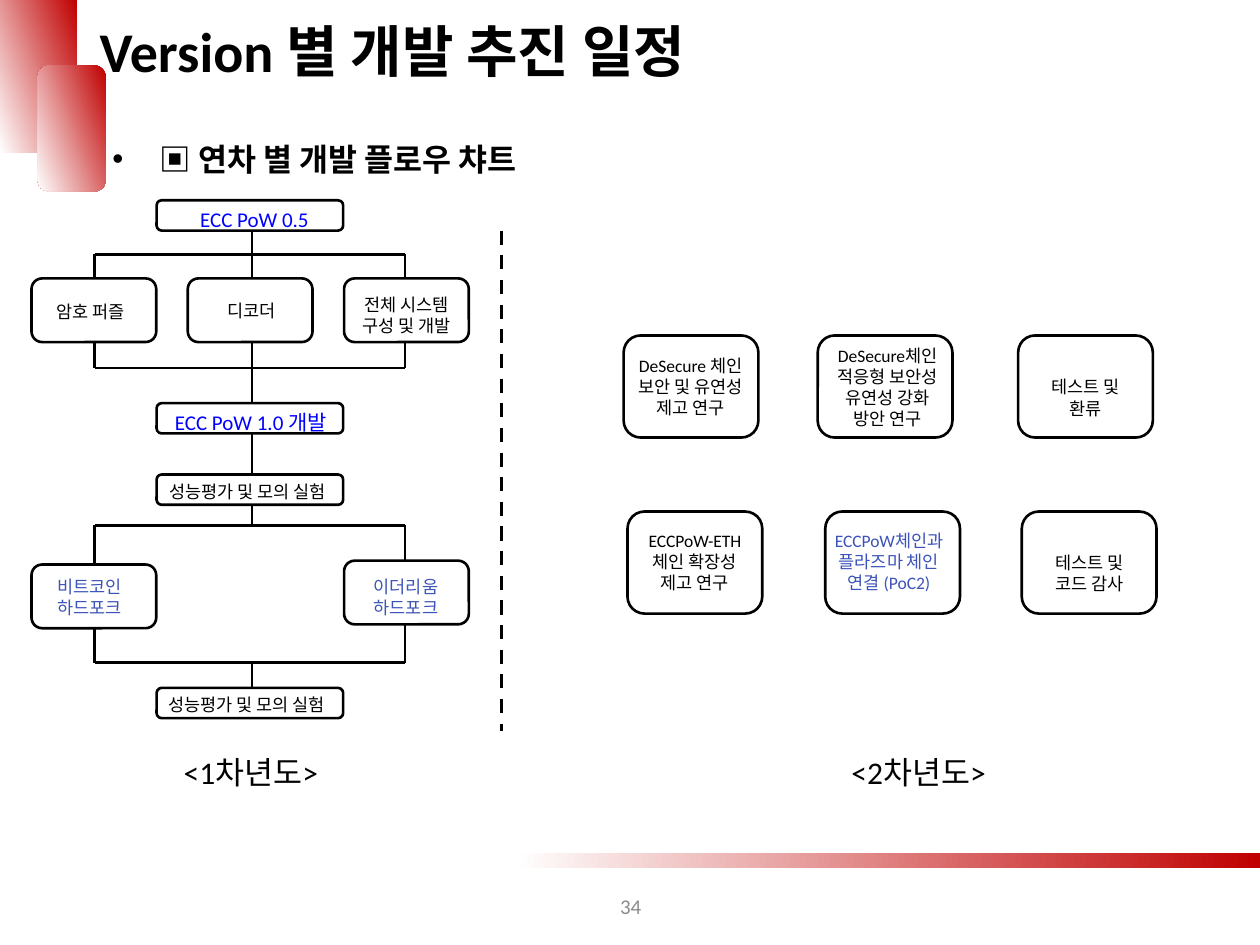
from lxml import etree
from pptx import Presentation
from pptx.dml.color import RGBColor
from pptx.enum.dml import MSO_LINE
from pptx.enum.shapes import MSO_CONNECTOR, MSO_SHAPE
from pptx.enum.text import MSO_ANCHOR, MSO_AUTO_SIZE, PP_ALIGN
from pptx.oxml.ns import qn
from pptx.util import Pt

RECT = MSO_SHAPE.RECTANGLE
ROUND = MSO_SHAPE.ROUNDED_RECTANGLE
ALT = MSO_SHAPE.FLOWCHART_ALTERNATE_PROCESS
LINE = MSO_CONNECTOR.STRAIGHT
DASH = MSO_LINE.DASH
LEFT, MID = PP_ALIGN.LEFT, PP_ALIGN.CENTER
TOP, CENTER = MSO_ANCHOR.TOP, MSO_ANCHOR.MIDDLE
FIXED = MSO_AUTO_SIZE.NONE
LATIN, HANGUL = "Calibri", "Noto Sans CJK KR"
HEX = {"black": "000000", "white": "FFFFFF", "red": "C00000",
       "gray": "8C8C8C", "blue": "0000FF", "navy": "3C53B9"}


def tint(name):
    return RGBColor.from_string(HEX[name])


def place(shape, x, y, w, h):
    shape.left, shape.top, shape.width, shape.height = map(Pt, (x, y, w, h))


def write(shape, text, size, color="black", align=LEFT, bold=False,
          font=LATIN, anchor=TOP):
    frame = shape.text_frame
    frame.text = text
    frame.word_wrap = True
    frame.auto_size = FIXED
    frame.vertical_anchor = anchor
    for para in frame.paragraphs:
        para.alignment = align
        for run in para.runs:
            run.font.size, run.font.bold = Pt(size), bold
            run.font.color.rgb = tint(color)
            run.font.name = font
            east = etree.SubElement(run.font._element, qn("a:ea"))
            east.set("typeface", HANGUL)


def label(slide, x, y, w, h, text, size=10, **style):
    box = slide.shapes.add_textbox(Pt(x), Pt(y), Pt(w), Pt(h))
    write(box, text, size, **style)


def fade(slide, kind, x, y, w, h, first, last, angle):
    shape = slide.shapes.add_shape(kind, Pt(x), Pt(y), Pt(w), Pt(h))
    shape.shadow.inherit = False
    shape.line.fill.background()
    shape.fill.gradient()
    shape.fill.gradient_angle = angle
    for stop, name in zip(shape.fill.gradient_stops, (first, last)):
        stop.color.rgb = tint(name)


def box(slide, x, y, w, h):
    shape = slide.shapes.add_shape(ROUND, Pt(x), Pt(y), Pt(w), Pt(h))
    shape.shadow.inherit = False
    shape.fill.solid()
    shape.fill.fore_color.rgb = tint("white")
    shape.line.color.rgb = tint("black")
    shape.line.width = Pt(1.5)


def link(slide, x1, y1, x2, y2, width=1.5, dash=None):
    line = slide.shapes.add_connector(LINE, Pt(x1), Pt(y1), Pt(x2), Pt(y2))
    line.line.color.rgb = tint("black")
    line.line.width = Pt(width)
    if dash:
        line.line.dash_style = dash
    etree.SubElement(line._element.spPr, qn("a:effectLst"))


def head(slide):
    title, body = slide.shapes.title, slide.placeholders[1]
    place(title, 49.7, 5.8, 651, 46)
    write(title, "Version 별 개발 추진 일정", 32, bold=True)
    place(body, 57, 76.3, 651.6, 28.8)
    body.text_frame.text = ""
    props = body.text_frame.paragraphs[0]._p.get_or_add_pPr()
    props.set("marL", "0")
    props.set("indent", "0")
    etree.SubElement(props, qn("a:buNone"))
    write(body, "▣ 연차 별 개발 플로우 챠트", 18, bold=True, font=HANGUL)
    body.text_frame.paragraphs[0].space_before = Pt(0)


def first_year(slide):
    # Branch lines: two forks, each closed by a rail above and below
    left, trunk, right = 54, 144, 231.5
    for top, low in ((145.3, 210.2), (300.2, 378.7)):
        for x in (left, right):
            link(slide, x, top, x, low)
        for y in (top, low):
            link(slide, left, y, right, y)
    link(slide, trunk, 131.8, trunk, 300.2)
    link(slide, trunk, 378.7, trunk, 408.2)

    # Milestones on the trunk
    test = "성능평가 및 모의 실험"
    for y, x, w, text, size, color in (
            (114.5, 107.3, 77, "ECC PoW 0.5", 12, "blue"),
            (230.4, 92.9, 110.9, "ECC PoW 1.0 개발", 12, "blue"),
            (271.2, 90, 110.9, test, 10, "black"),
            (393.1, 89.3, 110.9, test, 10, "black")):
        box(slide, 89.5, y, 106.6, 17.3)
        label(slide, x, y, w, 21, text, size, color=color)

    # Work items on the branches
    for col, y, x, top, w, text, color, align in (
            (0, 159.1, 25.2, 168.5, 64, "암호 퍼즐", "black", LEFT),
            (1, 159.1, 123.1, 167.8, 44.6, "디코더", "black", LEFT),
            (2, 159.1, 196.6, 164.2, 71.3, "전체 시스템\n구성 및 개발",
             "black", MID),
            (0, 322.6, 25.9, 325.4, 64, "비트코인 하드포크", "navy", LEFT),
            (2, 320.4, 206.6, 325.4, 64, "이더리움 하드포크", "navy", LEFT)):
        box(slide, 18 + 89.3 * col, y, 71.3, 36.4)
        label(slide, x, top, w, 32, text, color=color, align=align)


def second_year(slide):
    for x, y, left, top, w, text, color in (
            (356.4, 191.7, 355, 199.4, 79.2,
             "DeSecure 체인 보안 및 유연성\n제고 연구", "black"),
            (467.3, 191.7, 468.7, 193.7, 77,
             "DeSecure체인\n적응형 보안성 유연성 강화\n방안 연구", "black"),
            (581.8, 191.7, 581.8, 211.6, 77, "테스트 및\n환류", "black"),
            (358.6, 292.3, 358.6, 299.5, 77,
             "ECCPoW-ETH체인 확장성 제고 연구", "black"),
            (471.6, 292.3, 468, 299.5, 79.9,
             "ECCPoW체인과 플라즈마 체인 연결 (PoC2)", "navy"),
            (583.9, 292.3, 583.9, 311.7, 77, "테스트 및\n코드 감사", "black")):
        box(slide, x, y, 77, 58.3)
        label(slide, left, top, w, 44, text, color=color, align=MID)


def main():
    deck = Presentation()
    deck.slide_width, deck.slide_height = Pt(720), Pt(540)
    slide = deck.slides.add_slide(deck.slide_layouts[1])

    # Corner blocks and footer band, kept behind the text
    fade(slide, RECT, 0, 0, 43.9, 87.1, "red", "white", 200)
    fade(slide, ALT, 21.6, 37.4, 38.9, 72, "red", "white", 200)
    fade(slide, RECT, 294.5, 487.4, 425.5, 8.6, "white", "red", 0)
    tree = slide.shapes._spTree
    for holder in list(slide.placeholders):
        tree.append(holder._element)
    head(slide)
    label(slide, 279.4, 503.3, 162, 28.8, "34", 12, color="gray",
          align=MID, anchor=CENTER)

    # Both years, the divider and the captions
    first_year(slide)
    second_year(slide)
    link(slide, 286.6, 131.8, 286.6, 417.6, 2, DASH)
    for x, text in ((97.9, "<1차년도>"), (479.5, "<2차년도>")):
        label(slide, x, 427, 100.8, 28.8, text, 18)

    deck.save("out.pptx")


if __name__ == "__main__":
    main()
